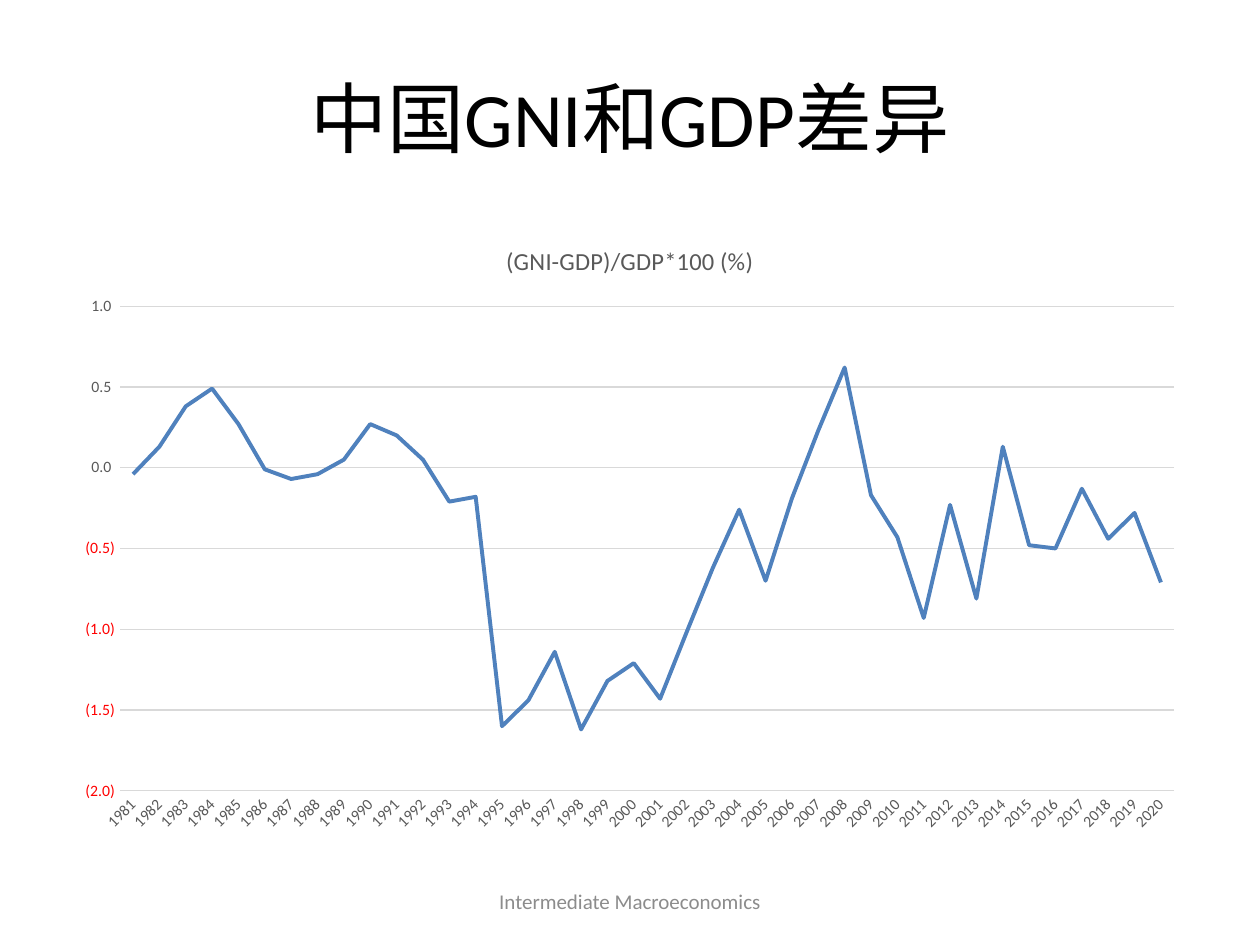
"""Build a slide with a line chart of the gap between China's GNI and GDP."""
import pptx
import pptx.chart.data
import pptx.dml.color
import pptx.enum.chart
import pptx.enum.text
import pptx.oxml
import pptx.oxml.ns
import pptx.util

Pt = pptx.util.Pt
RGBColor = pptx.dml.color.RGBColor
BLACK = RGBColor(0x00, 0x00, 0x00)
TEXT_GRAY = RGBColor(0x59, 0x59, 0x59)
FOOTER_GRAY = RGBColor(0x8C, 0x8C, 0x8C)
GRID_GRAY = RGBColor(0xD9, 0xD9, 0xD9)
LINE_BLUE = RGBColor(0x4F, 0x81, 0xBD)
FONT = "Calibri"
CHART_WIDTH = 648
CHART_HEIGHT = 356.4

GAPS = [
    -0.04, 0.13, 0.38, 0.49, 0.27, -0.01, -0.07, -0.04, 0.05, 0.27,
    0.2, 0.05, -0.21, -0.18, -1.6, -1.44, -1.14, -1.62, -1.32, -1.21,
    -1.43, -1.02, -0.62, -0.26, -0.7, -0.19, 0.23, 0.62, -0.17, -0.43,
    -0.93, -0.23, -0.81, 0.13, -0.48, -0.5, -0.13, -0.44, -0.28, -0.71,
]


def add_text(page, text, left, top, width, height, size, color):
    box = page.shapes.add_textbox(Pt(left), Pt(top), Pt(width), Pt(height))
    frame = box.text_frame
    frame.word_wrap = True
    frame.vertical_anchor = pptx.enum.text.MSO_ANCHOR.MIDDLE
    para = frame.paragraphs[0]
    para.alignment = pptx.enum.text.PP_ALIGN.CENTER
    span = para.add_run()
    span.text = text
    span.font.name = FONT
    span.font.size = Pt(size)
    span.font.color.rgb = color


def set_layout(element, index, settings):
    for old in element.findall(pptx.oxml.ns.qn("c:layout")):
        element.remove(old)
    values = "".join(f'<c:{key} val="{value}"/>' for key, value in settings.items())
    element.insert(index, pptx.oxml.parse_xml(
        f'<c:layout {pptx.oxml.ns.nsdecls("c")}>'
        f"<c:manualLayout>{values}</c:manualLayout></c:layout>"))


deck = pptx.Presentation()
deck.slide_width = Pt(720)
deck.slide_height = Pt(540)
page = deck.slides.add_slide(deck.slide_layouts[6])

add_text(page, "中国GNI和GDP差异", 36, 21.6, 648, 90, 44, BLACK)
add_text(page, "Intermediate Macroeconomics", 246, 500.5, 228, 28.75, 12, FOOTER_GRAY)

data = pptx.chart.data.CategoryChartData()
data.categories = [str(1981 + offset) for offset in range(len(GAPS))]
data.add_series("(GNI-GDP)/GDP*100 (%)", GAPS)
chart = page.shapes.add_chart(
    pptx.enum.chart.XL_CHART_TYPE.LINE, Pt(36), Pt(126),
    Pt(CHART_WIDTH), Pt(CHART_HEIGHT), data).chart
chart.has_legend = False
chart.font.name = FONT
chart.font.size = Pt(10)
chart.font.color.rgb = BLACK

chart.has_title = True
chart_title = chart.chart_title
chart_title.include_in_layout = False
span = chart_title.text_frame.paragraphs[0].add_run()
span.text = "(GNI-GDP)/GDP*100 (%)"
span.font.name = FONT
span.font.size = Pt(14)
span.font.bold = False
span.font.color.rgb = TEXT_GRAY

plot = chart.plots[0]
plot.vary_by_categories = False
series = plot.series[0]
series.smooth = False
series.marker.style = pptx.enum.chart.XL_MARKER_STYLE.NONE
series.format.line.width = Pt(2.25)
series.format.line.color.rgb = LINE_BLUE

for axis in (chart.category_axis, chart.value_axis):
    axis.major_tick_mark = pptx.enum.chart.XL_TICK_MARK.NONE
    axis.minor_tick_mark = pptx.enum.chart.XL_TICK_MARK.NONE
    axis.tick_label_position = pptx.enum.chart.XL_TICK_LABEL_POSITION.NEXT_TO_AXIS
    axis.tick_labels.font.name = FONT
    axis.tick_labels.font.size = Pt(9)
    axis.tick_labels.font.color.rgb = TEXT_GRAY

years = chart.category_axis
years.has_major_gridlines = False
years.format.line.width = Pt(0.75)
years.format.line.color.rgb = GRID_GRAY
body = years._element.find(pptx.oxml.ns.qn("c:txPr")).find(pptx.oxml.ns.qn("a:bodyPr"))
body.set("rot", "-2700000")
body.set("vert", "horz")

percent = chart.value_axis
percent.minimum_scale = -2
percent.maximum_scale = 1
percent.major_unit = 0.5
percent.tick_labels.number_format = r"#,##0.0_);[Red]\(#,##0.0\)"
percent.tick_labels.number_format_is_linked = False
percent.format.line.fill.background()
percent.has_major_gridlines = True
percent.major_gridlines.format.line.width = Pt(0.75)
percent.major_gridlines.format.line.color.rgb = GRID_GRAY
percent.crosses = pptx.enum.chart.XL_AXIS_CROSSES.MINIMUM

set_layout(chart_title._element, 1, {
    "xMode": "edge", "yMode": "edge",
    "x": 250.7 / CHART_WIDTH, "y": 10.7 / CHART_HEIGHT})
set_layout(chart._chartSpace.chart.plotArea, 0, {
    "layoutTarget": "inner", "xMode": "edge", "yMode": "edge",
    "x": 32.5 / CHART_WIDTH, "y": 49 / CHART_HEIGHT,
    "w": 602.5 / CHART_WIDTH, "h": 277 / CHART_HEIGHT})

deck.save("out.pptx")
